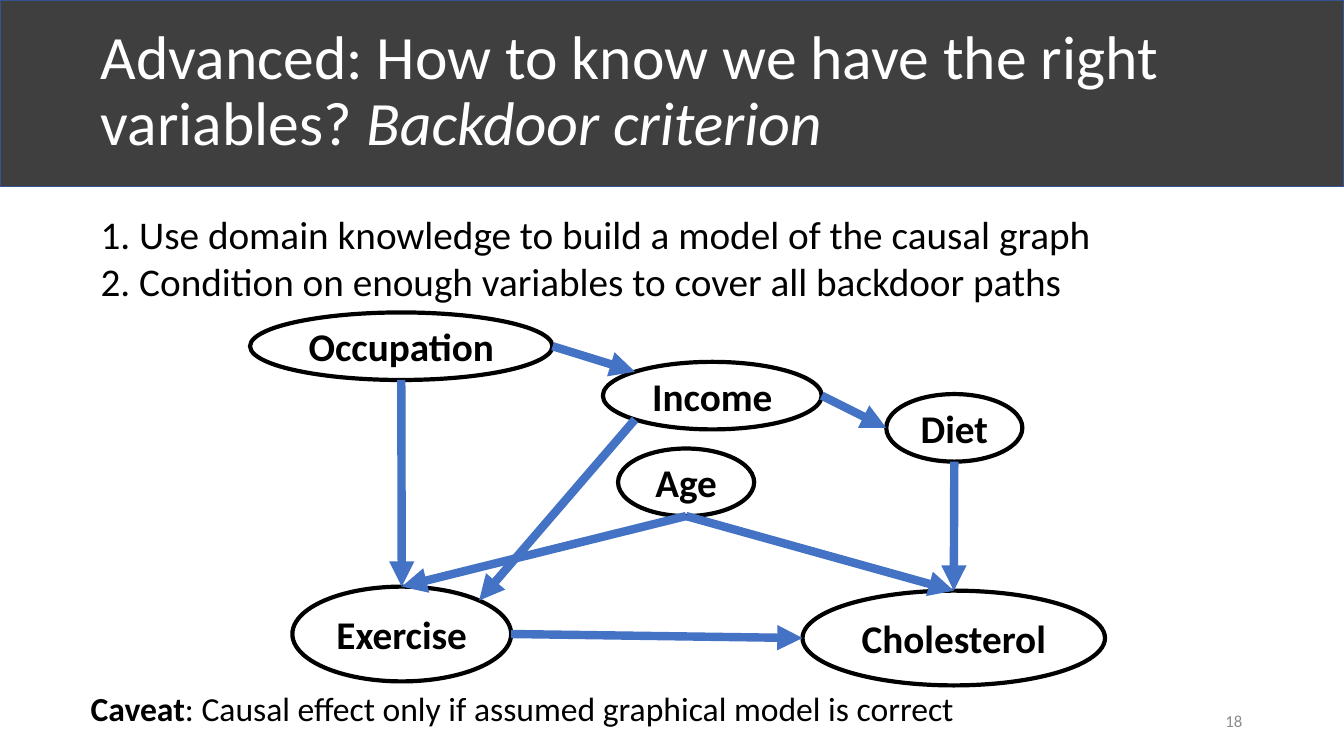
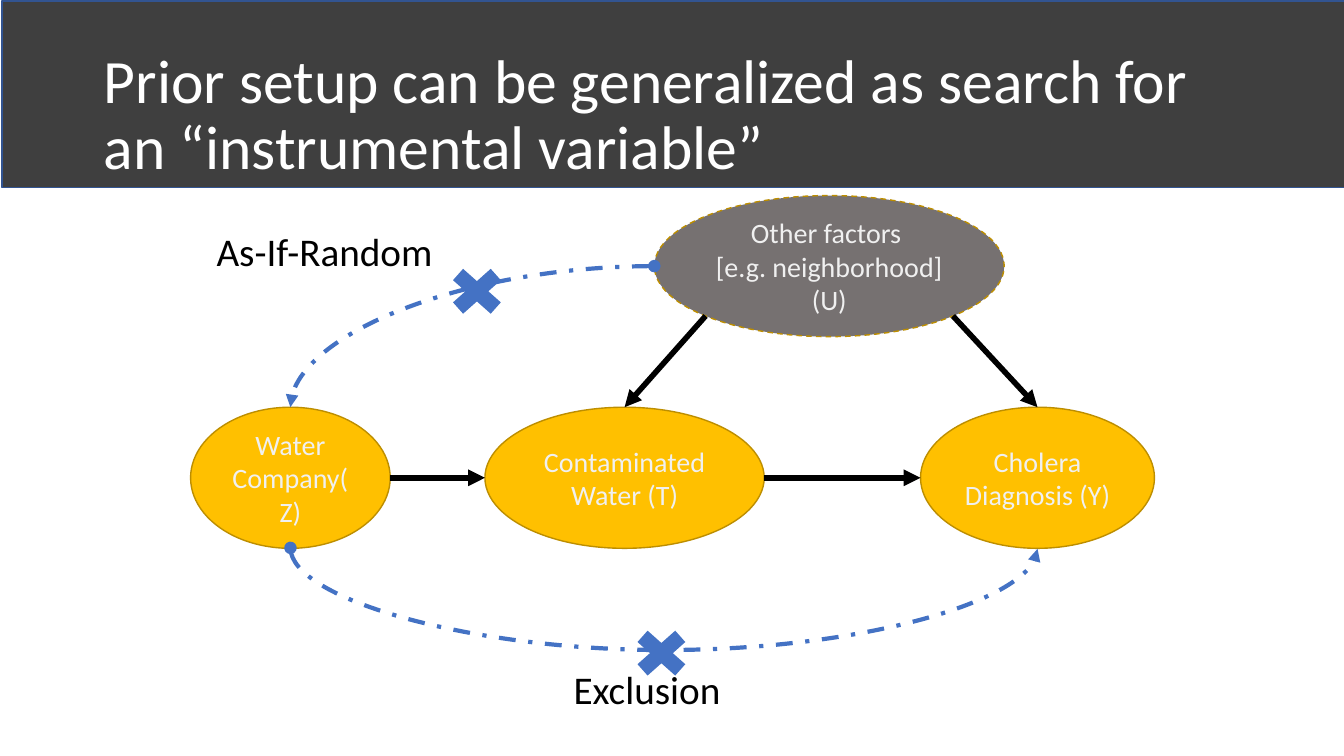
"""Build two slides of causal graphs: a backdoor criterion and an instrumental variable."""
from dataclasses import dataclass
from math import sqrt

from pptx import Presentation
from pptx.dml.color import RGBColor
from pptx.enum import dml, shapes, text
from pptx.oxml.ns import qn
from pptx.util import Inches, Pt
from lxml import etree


@dataclass(frozen=True)
class Theme:
    font: str = "Calibri"
    band: str = "3F3F3F"
    edge: str = "325491"
    blue: str = "4472C4"
    gold: str = "FFC000"
    rim: str = "BD8E00"
    gray: str = "767171"
    pale: str = "F0F0F0"
    mute: str = "8C8C8C"
    ink: str = "000000"
    white: str = "FFFFFF"
    title: int = 44
    body: int = 28
    note: int = 24
    node: int = 20
    page: int = 12


T = Theme()
WIDE, HIGH = 13.33, 7.5

TITLE_1 = [("Advanced: How to know we have the right variables? ", {}),
           ("Backdoor criterion", {"italic": True})]
TITLE_2 = [("Prior setup can be generalized as search for an “instrumental variable”", {})]
STEPS = ("1. Use domain knowledge to build a model of the causal graph\v"
         "2. Condition on enough variables to cover all backdoor paths")
CAVEAT = [("Caveat", {"bold": True}),
          (": Causal effect only if assumed graphical model is correct", {})]
HEALTH = {
    "Age": (6.13, 4.45, 1.35, 0.67),
    "Cholesterol": (7.96, 5.86, 3, 0.94),
    "Exercise": (2.9, 5.82, 2.17, 0.94),
    "Occupation": (2.48, 3.1, 3, 0.67),
    "Diet": (8.79, 3.91, 1.35, 0.67),
    "Income": (5.98, 3.59, 2.17, 0.67),
}
CAUSES = [
    ("Age", "S", "Exercise", "N"), ("Age", "S", "Cholesterol", "N"),
    ("Exercise", "E", "Cholesterol", "W"), ("Diet", "S", "Cholesterol", "N"),
    ("Occupation", "S", "Exercise", "N"), ("Occupation", "E", "Income", "NW"),
    ("Income", "E", "Diet", "W"), ("Income", "SW", "Exercise", "NE"),
]
FACTOR = "Other factors \n[e.g. neighborhood] (U)"
WATER, TREAT, SICK = "Water Company(Z)", "Contaminated Water (T)", "Cholera Diagnosis (Y)"
CHOLERA = {
    TREAT: (4.81, 4.04, 2.77, 1.4),
    SICK: (9.13, 4.04, 2.32, 1.4),
    FACTOR: (6.49, 1.94, 3.47, 1.4),
    WATER: (1.89, 4.04, 1.98, 1.4),
}
FLOWS = [(TREAT, "E", SICK, "W"), (FACTOR, "SW", TREAT, "N"),
         (FACTOR, "SE", SICK, "N"), (WATER, "E", TREAT, "W")]
RULES = [("As-If-Random", (2.05, 2.21, 2.92, 0.57), (4.37, 2.57)),
         ("Exclusion", (5.59, 6.55, 2.41, 0.57), (6.2, 6.16))]
SAG = 1.03


def rgb(code):
    """Turn a hex code into a colour."""
    return RGBColor.from_string(code)


def place(box):
    """Convert a box to lengths."""
    return [Inches(n) for n in box]


def write(frame, parts, size, color, align=text.PP_ALIGN.LEFT, bold=None):
    """Fill a frame from a string, or from runs with their own emphasis."""
    if isinstance(parts, str):
        frame.text = parts
    else:
        for words, marks in parts:
            run = frame.paragraphs[0].add_run()
            run.text = words
            for name, value in marks.items():
                setattr(run.font, name, value)
    for para in frame.paragraphs:
        para.alignment = align
        font = para.font
        font.name, font.size, font.bold = T.font, Pt(size), bold
        font.color.rgb = rgb(color)


def block(slide, kind, box, fill, line=None, width=1):
    """Add a flat filled shape."""
    shape = slide.shapes.add_shape(kind, *place(box))
    shape.shadow.inherit = False
    shape.fill.solid()
    shape.fill.fore_color.rgb = rgb(fill)
    if line:
        shape.line.color.rgb = rgb(line)
        shape.line.width = Pt(width)
    else:
        shape.line.fill.background()
    return shape


def label(slide, box, parts, size, color=T.ink, wrap=True, **look):
    """Add a text box."""
    shape = slide.shapes.add_textbox(*place(box))
    frame = shape.text_frame
    frame.word_wrap = wrap
    frame.auto_size = text.MSO_AUTO_SIZE.SHAPE_TO_FIT_TEXT
    write(frame, parts, size, color, **look)
    return frame


def start(deck, parts, corner, box):
    """Add a slide with its title on the dark band."""
    slide = deck.slides.add_slide(deck.slide_layouts[5])
    block(slide, shapes.MSO_SHAPE.RECTANGLE, (*corner, WIDE, 1.85), T.band, T.edge)
    title = slide.shapes.title
    title.left, title.top, title.width, title.height = place(box)
    frame = title.text_frame
    frame.word_wrap = True
    frame.auto_size = text.MSO_AUTO_SIZE.NONE
    frame.vertical_anchor = text.MSO_ANCHOR.MIDDLE
    write(frame, parts, T.title, T.white)
    frame.paragraphs[0].line_spacing = 0.9
    tree = title.element.getparent()
    tree.append(title.element)
    return slide


def oval(slide, box, words, fill, line, width, size, color, bold=None):
    """Add a graph node."""
    shape = block(slide, shapes.MSO_SHAPE.OVAL, box, fill, line, width)
    frame = shape.text_frame
    frame.word_wrap = True
    frame.vertical_anchor = text.MSO_ANCHOR.MIDDLE
    write(frame, words, size, color, text.PP_ALIGN.CENTER, bold)
    return shape


def rim(box, way):
    """Find the point of an ellipse that lies in a compass direction."""
    left, top, width, height = box
    reach = 1 / sqrt(len(way))
    across = ("E" in way) - ("W" in way)
    down = ("S" in way) - ("N" in way)
    return (left + width * (1 + across * reach) / 2,
            top + height * (1 + down * reach) / 2)


def arrow(slide, tip, end, color, width, kind=shapes.MSO_CONNECTOR.STRAIGHT, dash=None):
    """Draw a connector with a triangle at its end and, if dashed, a dot at its start."""
    wire = slide.shapes.add_connector(kind, *place((*tip, *end)))
    wire.line.color.rgb = rgb(color)
    wire.line.width = Pt(width)
    line = wire.line._get_or_add_ln()
    if dash:
        wire.line.dash_style = dash
        etree.SubElement(line, qn("a:headEnd"), type="oval")
    etree.SubElement(line, qn("a:tailEnd"), type="triangle")
    etree.SubElement(wire.element.spPr, qn("a:effectLst"))
    return wire


def link(slide, nodes, edges, color, width):
    """Draw every straight edge of a graph."""
    for tail, out, head, into in edges:
        arrow(slide, rim(nodes[tail], out), rim(nodes[head], into), color, width)


def bend(slide, tip, end):
    """Draw a dashed curve."""
    return arrow(slide, tip, end, T.blue, 3, shapes.MSO_CONNECTOR.CURVE,
                 dml.MSO_LINE.DASH_DOT)


def sag(slide, tip, end):
    """Draw a dashed curve that hangs below two points of about equal height."""
    mid, level = (tip[0] + end[0]) / 2, (tip[1] + end[1]) / 2
    half, thin = (end[0] - tip[0]) / 2, 0.01
    wire = bend(slide, (mid + thin / 2, level - half), (mid - thin / 2, level + half))
    props = wire.element.spPr
    props.find(qn("a:xfrm")).set("rot", str(270 * 60000))
    geom = props.find(qn("a:prstGeom"))
    guides = geom.find(qn("a:avLst"))
    if guides is None:
        guides = etree.SubElement(geom, qn("a:avLst"))
    etree.SubElement(guides, qn("a:gd"), name="adj1",
                     fmla=f"val {round(SAG / thin * 100000)}")


def backdoor(deck):
    """Build the backdoor slide."""
    slide = start(deck, TITLE_1, (0, 0), (0.9, 0.43, 11.84, 0.98))
    page = label(slide, (9.42, 6.95, 3, 0.4), "18", T.page, T.mute,
                 align=text.PP_ALIGN.RIGHT)
    page.auto_size = text.MSO_AUTO_SIZE.NONE
    page.vertical_anchor = text.MSO_ANCHOR.MIDDLE
    label(slide, (0.8, 6.78, 8.85, 0.5), CAVEAT, T.note, wrap=False)
    label(slide, (0.9, 2.04, 10.13, 1.04), STEPS, T.body, wrap=False)
    for name, box in HEALTH.items():
        oval(slide, box, name, T.white, T.ink, 3, T.body, T.ink, True)
    link(slide, HEALTH, CAUSES, T.blue, 6)


def instrument(deck):
    """Build the instrumental variable slide."""
    slide = start(deck, TITLE_2, (0.02, 0.01), (0.93, 0.43, 11.5, 1.45))
    for name, box in CHOLERA.items():
        fill = T.gray if name == FACTOR else T.gold
        node = oval(slide, box, name, fill, T.rim, 1, T.node, T.pale)
        if name == FACTOR:
            node.line.dash_style = dml.MSO_LINE.DASH
            node.text_frame.margin_left = node.text_frame.margin_right = 0
    link(slide, CHOLERA, FLOWS, T.ink, 4)
    curve = bend(slide, rim(CHOLERA[FACTOR], "W"), rim(CHOLERA[WATER], "N"))
    curve.element.spPr.find(qn("a:prstGeom")).set("prst", "curvedConnector2")
    sag(slide, rim(CHOLERA[WATER], "S"), rim(CHOLERA[SICK], "S"))
    for words, box, spot in RULES:
        label(slide, box, words, T.body)
        block(slide, shapes.MSO_SHAPE.MATH_MULTIPLY, (*spot, 0.72, 0.64), T.blue)


deck = Presentation()
deck.slide_width, deck.slide_height = place((WIDE, HIGH))
backdoor(deck)
instrument(deck)
deck.save("out.pptx")
